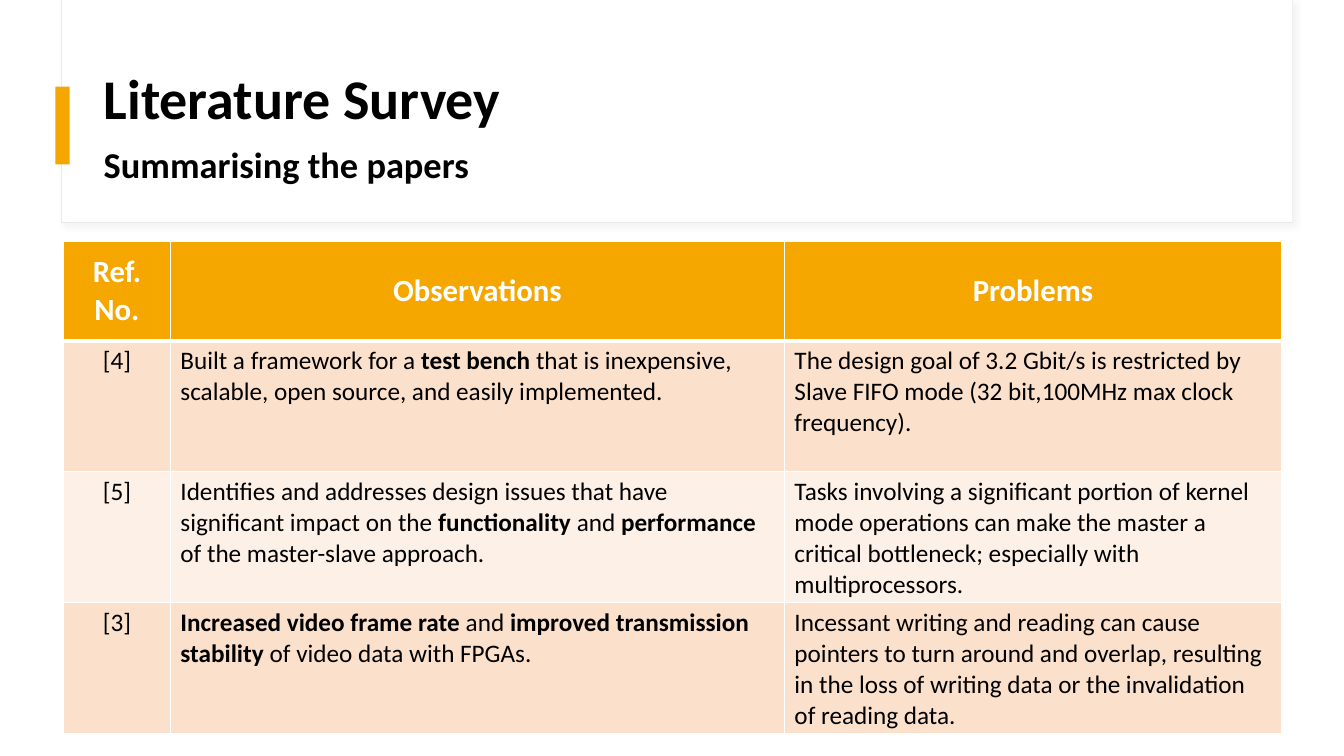
import pptx
import pptx.util
import pptx.dml.color
import pptx.enum.shapes
import pptx.enum.text
import pptx.oxml
import pptx.oxml.ns

ALIGN = pptx.enum.text.PP_ALIGN
ANCHOR = pptx.enum.text.MSO_ANCHOR
NAMESPACE = pptx.oxml.ns.nsdecls("a")


def colour(code):
    return pptx.dml.color.RGBColor.from_string(code)


class SurveySlide:
    """Draw styled elements on one slide, with lengths in percent of its size."""

    font, ink, paper, accent = "Calibri", "000000", "FFFFFF", "F5A700"
    bands = ("FBE1CC", "FDF1E7")

    def __init__(self, deck):
        self.deck = deck
        self.slide = deck.slides.add_slide(deck.slide_layouts[6])

    def across(self, share):
        return round(self.deck.slide_width * share / 100)

    def down(self, share):
        return round(self.deck.slide_height * share / 100)

    def place(self, left, top, width, height):
        return self.across(left), self.down(top), self.across(width), self.down(height)

    def panel(self, area, fill, line=None):
        kind = pptx.enum.shapes.MSO_SHAPE.RECTANGLE
        box = self.slide.shapes.add_shape(kind, *self.place(*area))
        box.shadow.inherit = False
        box.fill.solid()
        box.fill.fore_color.rgb = colour(fill)
        if line:
            box.line.color.rgb = colour(line)
            box.line.width = pptx.util.Pt(0.75)
        else:
            box.line.fill.background()
        return box

    def soft_shadow(self, box, code):
        effects = box._element.spPr.find(pptx.oxml.ns.qn("a:effectLst"))
        effects.append(pptx.oxml.parse_xml(
            f'<a:outerShdw {NAMESPACE} blurRad="50800" dist="38100" dir="2700000" '
            f'algn="tl" rotWithShape="0"><a:srgbClr val="{code}">'
            '<a:alpha val="30000"/></a:srgbClr></a:outerShdw>'))

    def add_text(self, para, text, size, code, bold=False):
        for index, piece in enumerate(text.split("**")):
            if piece:
                span = para.add_run()
                span.text = piece
                span.font.name = self.font
                span.font.size = pptx.util.Pt(size)
                span.font.bold = bold or index % 2 == 1
                span.font.color.rgb = colour(code)

    def heading(self, area, text, size):
        frame = self.slide.shapes.add_textbox(*self.place(*area)).text_frame
        frame.word_wrap = True
        frame.vertical_anchor = ANCHOR.MIDDLE
        para = frame.paragraphs[0]
        para.line_spacing = 0.9
        self.add_text(para, text, size, self.ink, bold=True)

    def borders(self, cell, widths):
        properties = cell._tc.get_or_add_tcPr()
        for side, width in zip("LRTB", widths):
            properties.append(pptx.oxml.parse_xml(
                f'<a:ln{side} {NAMESPACE} w="{pptx.util.Pt(width)}"><a:solidFill>'
                f'<a:srgbClr val="{self.paper}"/></a:solidFill></a:ln{side}>'))

    def cell(self, cell, text, row, column):
        header = row == 0
        self.borders(cell, (1, 1, 3 if row == 1 else 1, 3 if header else 1))
        cell.fill.solid()
        cell.fill.fore_color.rgb = colour(self.accent if header else self.bands[(row - 1) % 2])
        cell.vertical_anchor = ANCHOR.MIDDLE if header else ANCHOR.TOP
        para = cell.text_frame.paragraphs[0]
        para.alignment = ALIGN.CENTER if header or column == 0 else ALIGN.LEFT
        if header:
            self.add_text(para, text, 22, self.paper, bold=True)
        else:
            self.add_text(para, text, 18, self.ink)

    def table(self, left, top, widths, heights, rows):
        area = self.place(left, top, sum(widths), sum(heights))
        grid = self.slide.shapes.add_table(len(rows), len(widths), *area).table
        for column, width in zip(grid.columns, widths):
            column.width = self.across(width)
        for line, height in zip(grid.rows, heights):
            line.height = self.down(height)
        for row, texts in enumerate(rows):
            for column, text in enumerate(texts):
                self.cell(grid.cell(row, column), text, row, column)


PAPERS = [
    ("Ref. No.", "Observations", "Problems"),
    ("[4]",
     "Built a framework for a **test bench **that is inexpensive, scalable, "
     "open source, and easily implemented.",
     "The design goal of 3.2 Gbit/s is restricted by Slave FIFO mode "
     "(32 bit,100MHz max clock frequency)."),
    ("[5]",
     "Identifies and addresses design issues that have significant impact on the "
     "**functionality** and **performance** of the master-slave approach.",
     "Tasks involving a significant portion of kernel mode operations can make "
     "the master a critical bottleneck; especially with multiprocessors."),
    ("[3]",
     "**Increased video frame rate **and **improved transmission stability **"
     "of video data with FPGAs.",
     "Incessant writing and reading can cause pointers to turn around and overlap, "
     "resulting in the loss of writing data or the invalidation of reading data."),
]


def main():
    deck = pptx.Presentation()
    deck.slide_width = pptx.util.Inches(13.33)
    deck.slide_height = pptx.util.Inches(7.5)
    page = SurveySlide(deck)
    card = page.panel((4.58, 0, 91.6, 29.47), page.paper, line="E9E9E9")
    page.soft_shadow(card, "D9D9D9")
    page.panel((4.65, 0, 91.52, 29.33), page.paper)
    page.panel((4.13, 11.47, 1.05, 10.27), page.accent)
    page.heading((6.98, 4.8, 83.42, 17.2), "Literature Survey", 40)
    page.heading((6.98, 13.47, 83.42, 17.2), "Summarising the papers", 26)
    page.table(4.73, 31.87, (7.95, 45.69, 36.98), (13.2,) + (17.33,) * 3, PAPERS)
    deck.save("out.pptx")


if __name__ == "__main__":
    main()
